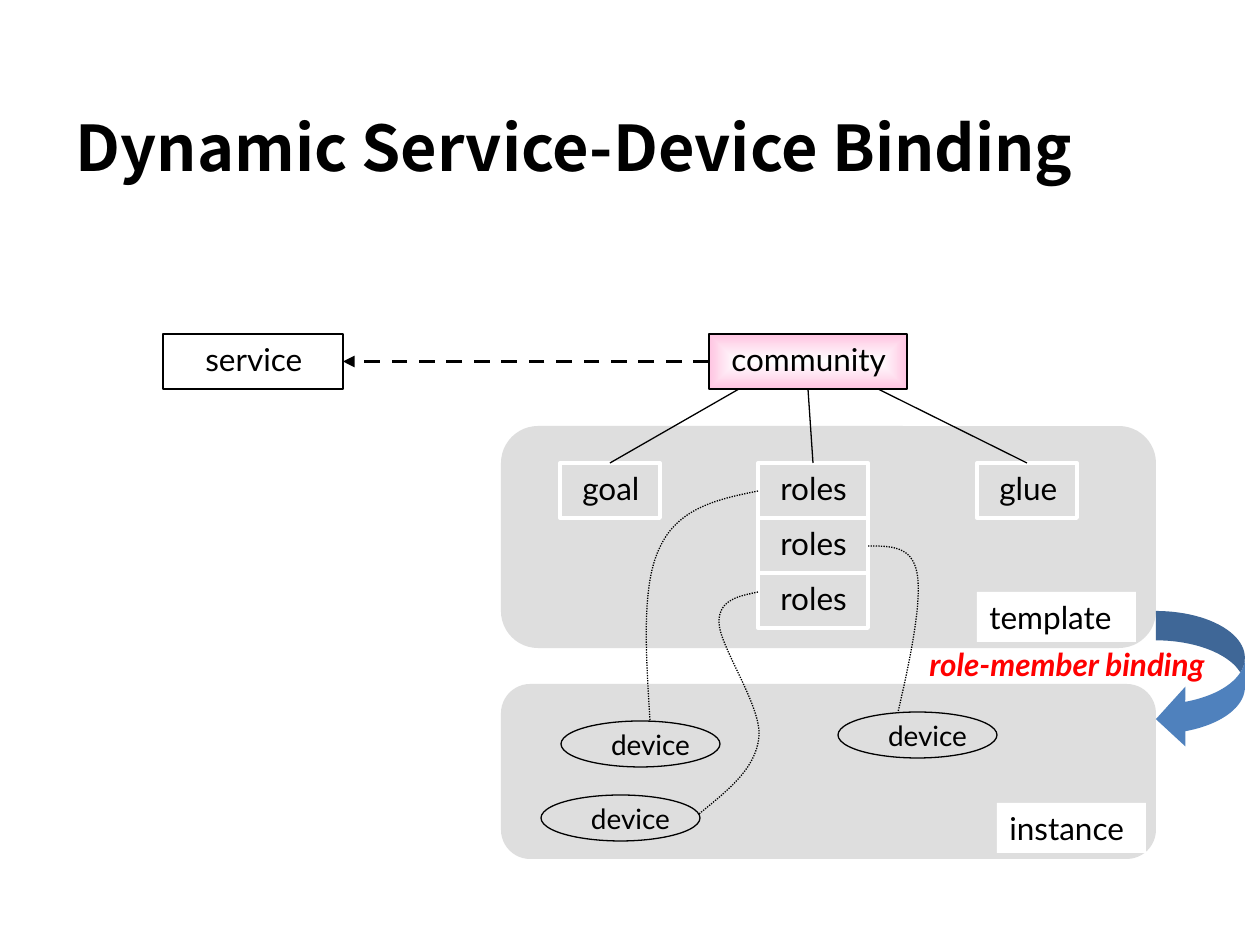
"""Build the slide on dynamic binding between services and devices."""
import pptx
import pptx.dml.color
import pptx.enum.dml
import pptx.enum.shapes
import pptx.enum.text
import pptx.oxml
import pptx.oxml.ns
import pptx.util

PX = 914400 / 126
SHAPE = pptx.enum.shapes.MSO_SHAPE
DASH = pptx.enum.dml.MSO_LINE
ALIGN = pptx.enum.text.PP_ALIGN
THEME = {
    "title_font": "Noto Sans CJK KR", "font": "Lato",
    "title": 36, "label": 18, "device": 16, "thin": 0.75, "thick": 2.25,
    "ink": "000000", "paper": "FFFFFF", "panel": "CDCDCD", "pink": "FFC5E2",
    "arrow": "4F81BD", "accent": "FF0000",
}

TITLE = ("Dynamic Service-Device Binding", (63, 98, 1138, 97))
PANELS = [(501, 684, 655, 175), (501, 426, 655, 222)]
NODE_HEIGHT, LABEL_HEIGHT, LABEL_SHIFT = 55, 50, 10
NODES = [
    ("service", 163, 334, 180, 30, 139),
    ("community", 709, 334, 198, LABEL_SHIFT, 198),
    ("goal", 560, 463, 100, LABEL_SHIFT, 90),
    ("glue", 977, 463, 100, LABEL_SHIFT, 100),
]
ROLES = [("roles", 758, 463 + row * NODE_HEIGHT, 110, LABEL_SHIFT, 108) for row in range(3)]
OUTER_NODES = ("service", "community")
BRANCHES = [("goal", 739), ("roles", None), ("glue", 878)]
DEVICE_SIZE = (159, 46)
DEVICES = [(838, 712), (541, 795), (561, 721)]
TAGS = [("template", (977, 592, 159, 50)), ("instance", (997, 803, 149, 50))]
BINDING = ("role-member binding", (917, 639, 318, 47))
BINDING_ARROW = (1156, 611, 89, 138)
CURVES = [
    [(758, 491), (718, 499), (678, 508), (660, 547), (641, 585), (646, 653), (650, 721)],
    [(868, 546), (891, 546), (912, 546), (917, 573), (922, 601), (911, 656), (898, 712)],
    [(758, 592), (740, 596), (719, 599), (719, 622), (719, 646), (762, 706), (759, 737),
     (756, 769), (727, 791), (699, 814)],
]


def emu(*lengths):
    return [pptx.util.Emu(round(length * PX)) for length in lengths]


def color(name):
    return pptx.dml.color.RGBColor.from_string(THEME[name])


def element(tag, **attributes):
    node = pptx.oxml.parse_xml(f"<{tag} {pptx.oxml.ns.nsdecls('a')}/>")
    for key, value in attributes.items():
        node.set(key, value)
    return node


def style_line(item, name="ink", width="thin", dash=None):
    item.line.color.rgb = color(name)
    item.line.width = pptx.util.Pt(THEME[width])
    if dash is not None:
        item.line.dash_style = dash


def add_shape(page, kind, place, fill=None, line=None, width="thin"):
    shape = page.shapes.add_shape(kind, *emu(*place))
    shape.shadow.inherit = False
    if fill:
        shape.fill.solid()
        shape.fill.fore_color.rgb = color(fill)
    else:
        shape.fill.background()
    if line:
        style_line(shape, line, width)
    else:
        shape.line.fill.background()
    return shape


def write(box, text, size="label", font="font", name="ink", align=ALIGN.LEFT,
          anchor=pptx.enum.text.MSO_ANCHOR.TOP, bold=False, italic=False):
    frame = box.text_frame
    frame.text = text
    frame.word_wrap = True
    frame.auto_size = pptx.enum.text.MSO_AUTO_SIZE.NONE
    frame.vertical_anchor = anchor
    para = frame.paragraphs[0]
    para.alignment = align
    span = para.runs[0]
    span.font.name = THEME[font]
    span.font.size = pptx.util.Pt(THEME[size])
    span.font.color.rgb = color(name)
    span.font.bold, span.font.italic = bold, italic


def add_label(page, text, place, **style):
    write(page.shapes.add_textbox(*emu(*place)), text, **style)


def add_node(page, text, left, top, width, shift, label_width):
    outer = text in OUTER_NODES
    shape = add_shape(page, SHAPE.RECTANGLE, (left, top, width, NODE_HEIGHT),
                      line="ink" if outer else "paper", width="thin" if outer else "thick")
    add_label(page, text, (left + shift, top, label_width, LABEL_HEIGHT))
    return shape


def add_line(page, start, end, **style):
    line = page.shapes.add_connector(pptx.enum.shapes.MSO_CONNECTOR.STRAIGHT, *start, *end)
    line._element.spPr.append(element("a:effectLst"))
    style_line(line, **style)
    return line


def add_curve(page, points):
    builder = page.shapes.build_freeform(*points[0], scale=PX)
    builder.add_line_segments(points[1:], close=False)
    curve = builder.convert_to_shape()
    curve.shadow.inherit = False
    curve.fill.background()
    style_line(curve, dash=DASH.ROUND_DOT)
    segments = curve._element.findall(".//" + pptx.oxml.ns.qn("a:lnTo"))
    for first in range(0, len(segments), 3):
        bezier = element("a:cubicBezTo")
        segments[first].addprevious(bezier)
        for segment in segments[first:first + 3]:
            bezier.append(segment[0])
            segment.getparent().remove(segment)


def shade_community(shape):
    shape.fill.gradient()
    for stop, name in zip(shape.fill.gradient_stops, ("paper", "pink")):
        stop.color.rgb = color(name)
    gradient = shape._element.spPr.find(pptx.oxml.ns.qn("a:gradFill"))
    shading = element("a:path", path="shape")
    shading.append(element("a:fillToRect", l="50000", t="50000", r="50000", b="50000"))
    gradient.replace(gradient.find(pptx.oxml.ns.qn("a:lin")), shading)


def main():
    deck = pptx.Presentation()
    deck.slide_width, deck.slide_height = emu(1260, 945)
    page = deck.slides.add_slide(deck.slide_layouts[5])

    title = page.shapes.title
    title.left, title.top, title.width, title.height = emu(*TITLE[1])
    write(title, TITLE[0], "title", "title_font", bold=True,
          anchor=pptx.enum.text.MSO_ANCHOR.MIDDLE)

    for place in PANELS:
        panel = add_shape(page, SHAPE.ROUNDED_RECTANGLE, place, "panel")
        tint = panel._element.spPr.find(".//" + pptx.oxml.ns.qn("a:srgbClr"))
        tint.append(element("a:alpha", val="65000"))

    nodes = {}
    for node in NODES + ROLES:
        shape = add_node(page, *node)
        nodes.setdefault(node[0], shape)
    community, service = nodes["community"], nodes["service"]
    shade_community(community)

    bottom = community.top + community.height
    for name, start in BRANCHES:
        child = nodes[name]
        left = emu(start)[0] if start else community.left + community.width // 2
        line = add_line(page, (left, bottom), (child.left, child.top))
        if start is None:
            line.begin_connect(community, 2)
        line.end_connect(child, 0)

    link = add_line(page, (community.left, bottom), (service.left, bottom),
                    width="thick", dash=DASH.DASH)
    link.begin_connect(community, 1)
    link.end_connect(service, 3)
    link.line._get_or_add_ln().append(element("a:tailEnd", type="triangle"))

    for left, top in DEVICES:
        add_shape(page, SHAPE.OVAL, (left, top, *DEVICE_SIZE), line="ink")
        add_label(page, "device", (left + LABEL_SHIFT, top, *DEVICE_SIZE),
                  size="device", align=ALIGN.CENTER)

    for text, place in TAGS:
        write(add_shape(page, SHAPE.RECTANGLE, place, "paper"), text)

    arrow = add_shape(page, SHAPE.CURVED_RIGHT_ARROW, BINDING_ARROW, "arrow")
    arrow._element.spPr.xfrm.set("flipH", "1")
    for index, value in enumerate((0.33, 0.67, 0.33)):
        arrow.adjustments[index] = value

    for points in CURVES:
        add_curve(page, points)
    add_label(page, *BINDING, name="accent", bold=True, italic=True)
    deck.save("out.pptx")


if __name__ == "__main__":
    main()
